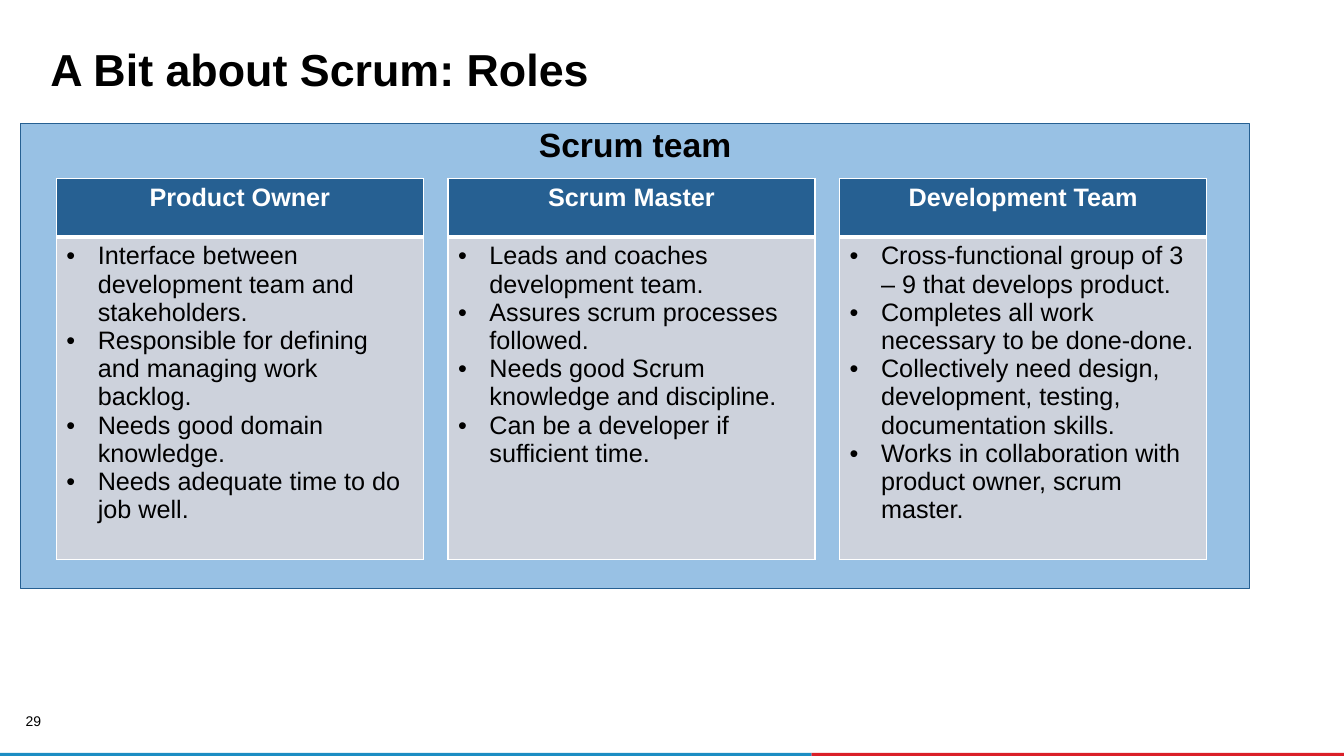
from lxml.etree import SubElement
from pptx import Presentation
from pptx.dml.color import RGBColor
from pptx.enum.shapes import MSO_SHAPE
from pptx.enum.text import MSO_ANCHOR, PP_ALIGN
from pptx.oxml import parse_xml
from pptx.oxml.ns import nsdecls, qn
from pptx.util import Cm, Pt

TITLE = "A Bit about Scrum: Roles"
TEAM = "Scrum team"
PAGE_NUMBER = "29"
ROLES = {
    "Product Owner": [
        "Interface between development team and stakeholders.",
        "Responsible for defining and managing work backlog.",
        "Needs good domain knowledge.",
        "Needs adequate time to do job well.",
    ],
    "Scrum Master": [
        "Leads and coaches development team.",
        "Assures scrum processes followed.",
        "Needs good Scrum knowledge and discipline.",
        "Can be a developer if sufficient time.",
    ],
    "Development Team": [
        "Cross-functional group of 3 – 9 that develops product.",
        "Completes all work necessary to be done-done.",
        "Collectively need design, development, testing, documentation skills.",
        "Works in collaboration with product owner, scrum master.",
    ],
}
COLORS = {
    "black": "000000", "white": "FFFFFF", "panel": "98C1E4", "header": "266092",
    "body": "CDD2DC", "blue stripe": "1B8DC3", "red stripe": "DA1F28",
}
FONT = "Arial"

# Lengths in centimetres
PAGE_WIDTH, PAGE_HEIGHT = 33.87, 19.05
STRIPE_HEIGHT, STRIPE_SPLIT = 0.08, 20.45
CARD_LEFT, CARD_TOP, CARD_WIDTH, CARD_PITCH = 1.42, 4.5, 9.25, 9.87
ROW_HEIGHTS = (1.47, 8.13)
BULLET_INDENT = 0.79


def color(name):
    return RGBColor.from_string(COLORS[name])


def style(para, size, ink="black", bold=False, align=None, spacing=None):
    para.alignment = align
    para.line_spacing = spacing
    for span in para.runs:
        span.font.name = FONT
        span.font.size = Pt(size)
        span.font.bold = bold
        span.font.color.rgb = color(ink)


def add_rectangle(place, fill, line=None):
    box = page.shapes.add_shape(MSO_SHAPE.RECTANGLE, *map(Cm, place))
    box.shadow.inherit = False
    box.fill.solid()
    box.fill.fore_color.rgb = color(fill)
    if line:
        box.line.color.rgb = color(line)
        box.line.width = Pt(0.75)
    else:
        box.line.fill.background()
    return box


def set_margins(frame, margin):
    frame.margin_left = frame.margin_right = Cm(margin)
    frame.margin_top = frame.margin_bottom = Cm(margin)


def add_bullet(para):
    properties = para._p.get_or_add_pPr()
    properties.set("marL", str(Cm(BULLET_INDENT)))
    properties.set("indent", str(-Cm(BULLET_INDENT)))
    SubElement(properties, qn("a:buFont"), typeface=FONT)
    SubElement(properties, qn("a:buChar"), char="•")


def paint_cell(cell, fill, top, bottom):
    cell.fill.solid()
    cell.fill.fore_color.rgb = color(fill)
    properties = cell._tc.get_or_add_tcPr()
    widths = {"lnL": 1, "lnR": 1, "lnT": top, "lnB": bottom}
    for position, (side, width) in enumerate(widths.items()):
        properties.insert(position, parse_xml(
            f'<a:{side} {nsdecls("a")} w="{Pt(width)}"><a:solidFill>'
            f'<a:srgbClr val="{COLORS["white"]}"/></a:solidFill></a:{side}>'))


def add_role(left, role, duties):
    place = (left, CARD_TOP, CARD_WIDTH, sum(ROW_HEIGHTS))
    table = page.shapes.add_table(2, 1, *map(Cm, place)).table
    for row, height in zip(table.rows, ROW_HEIGHTS):
        row.height = Cm(height)
    header, body = table.cell(0, 0), table.cell(1, 0)
    paint_cell(header, "header", top=1, bottom=3)
    paint_cell(body, "body", top=3, bottom=1)
    header.text_frame.text = role
    style(header.text_frame.paragraphs[0], 18, "white", True, PP_ALIGN.CENTER)
    body.text_frame.text = "\n".join(duties)
    for para in body.text_frame.paragraphs:
        add_bullet(para)
        style(para, 18)


deck = Presentation()
deck.slide_width, deck.slide_height = Cm(PAGE_WIDTH), Cm(PAGE_HEIGHT)
page = deck.slides.add_slide(deck.slide_layouts[6])

# Footer stripes and page number
stripe_top = PAGE_HEIGHT - STRIPE_HEIGHT
add_rectangle((STRIPE_SPLIT, stripe_top, PAGE_WIDTH - STRIPE_SPLIT, STRIPE_HEIGHT), "red stripe")
add_rectangle((0, stripe_top, STRIPE_SPLIT, STRIPE_HEIGHT), "blue stripe")
number = page.shapes.add_textbox(Cm(0.46), Cm(18.01), Cm(0.58), Cm(0.43)).text_frame
set_margins(number, 0)
number.text = PAGE_NUMBER
style(number.paragraphs[0], 10, align=PP_ALIGN.RIGHT, spacing=0.9)

# Team panel
panel = add_rectangle((0.51, 3.12, 30.99, 11.71), "panel", "header").text_frame
set_margins(panel, 0.13)
panel.vertical_anchor = MSO_ANCHOR.TOP
panel.text = TEAM
style(panel.paragraphs[0], 24, bold=True, align=PP_ALIGN.CENTER, spacing=0.9)

# Title
title = page.shapes.add_textbox(Cm(1.02), Cm(1.14), Cm(31.6), Cm(1.42)).text_frame
title.word_wrap = True
title.text = TITLE
style(title.paragraphs[0], 32, bold=True, spacing=0.85)

# Role cards
for index, (role, duties) in enumerate(ROLES.items()):
    add_role(CARD_LEFT + index * CARD_PITCH, role, duties)

deck.save("out.pptx")
